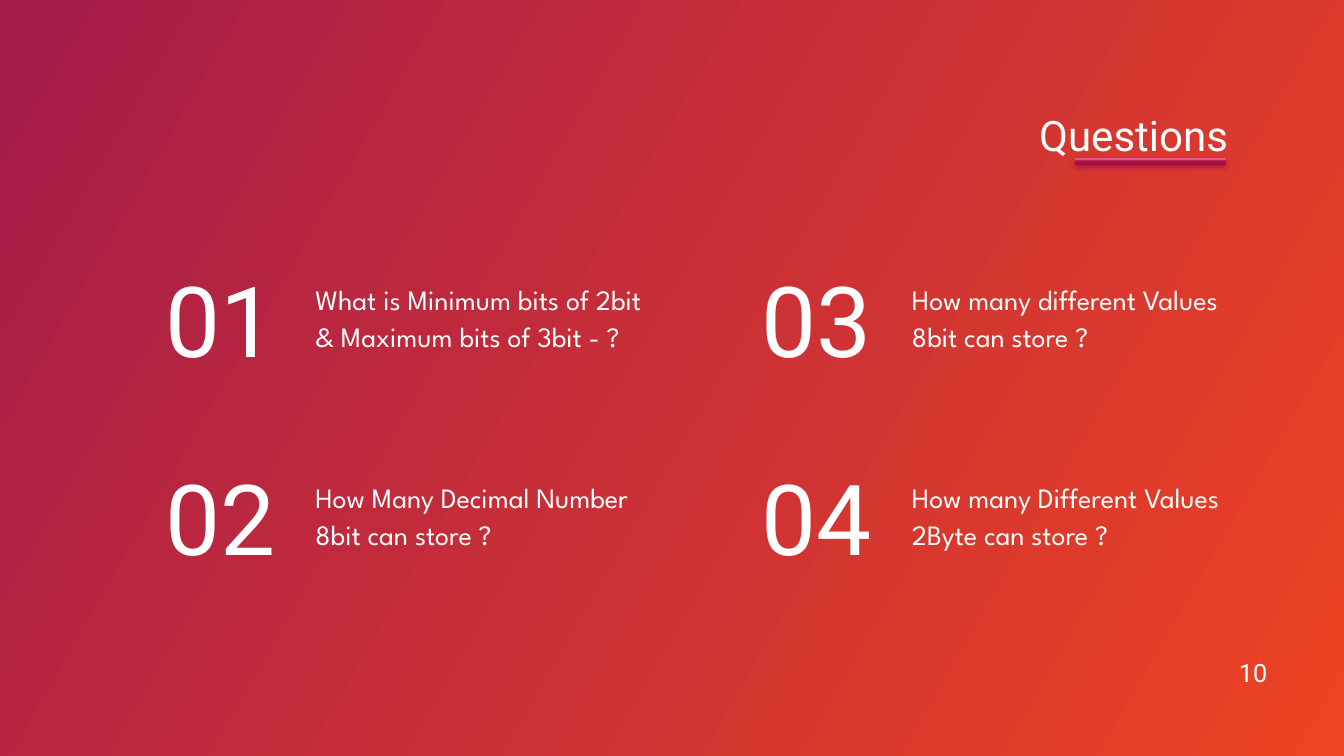
import pptx
import pptx.util
import pptx.dml.color
import pptx.enum.shapes
import pptx.enum.text
import pptx.oxml.ns
from lxml import etree

Pt = pptx.util.Pt
qn = pptx.oxml.ns.qn
ALIGN = pptx.enum.text.PP_ALIGN
ANCHOR = pptx.enum.text.MSO_ANCHOR

WIDTH, HEIGHT = 1919.52, 1080
COLORS = {
    "text": "FFFFFF",
    "orange": "ED4323",
    "crimson": "A51C4A",
    "pink": "E35C8A",
    "magenta": "AC1548",
    "wine": "9F0D3E",
    "shadow": "A91345",
}
QUESTIONS = [
    "What is Minimum bits of 2bit & Maximum bits of 3bit - ?",
    "How Many Decimal Number 8bit can store ?",
    "How many different Values 8bit can store ?",
    "How many Different Values 2Byte can store ?",
]


def add_color(parent, name):
    return etree.SubElement(parent, qn("a:srgbClr"), val=COLORS[name])


def add_gradient_bar(slide, box, stops, angle):
    """Add a rectangle with a linear gradient; stops are (percent, color name)."""
    shape = slide.shapes.add_shape(
        pptx.enum.shapes.MSO_SHAPE.RECTANGLE, *[Pt(value) for value in box])
    shape.shadow.inherit = False
    shape.line.fill.background()
    shape.fill.gradient()
    shape.fill.gradient_angle = angle
    stop_list = next(shape.element.iter(qn("a:gsLst")))
    for old_stop in list(stop_list):
        stop_list.remove(old_stop)
    for percent, name in stops:
        stop = etree.SubElement(stop_list, qn("a:gs"), pos=str(percent * 1000))
        add_color(stop, name)
    return shape


def format_text(shape, text, font, size, align, anchor, spacing=None):
    frame = shape.text_frame
    frame.word_wrap = True
    frame.vertical_anchor = anchor
    frame.margin_left = frame.margin_right = 0
    frame.margin_top = frame.margin_bottom = 0
    frame.text = text
    paragraph = frame.paragraphs[0]
    paragraph.alignment = align
    if spacing:
        paragraph.line_spacing = Pt(spacing)
    run_font = paragraph.runs[0].font
    run_font.name = font
    run_font.size = Pt(size)
    run_font.color.rgb = pptx.dml.color.RGBColor.from_string(COLORS["text"])


def add_text(slide, box, *style):
    shape = slide.shapes.add_textbox(*[Pt(value) for value in box])
    format_text(shape, *style)


def add_background(slide):
    shape = add_gradient_bar(slide, (0, 0, WIDTH, HEIGHT),
                             [(0, "orange"), (100, "crimson")], 150)
    # Send it behind the title
    slide.shapes.element.insert(2, shape.element)


def add_title(slide, left, top, width, height):
    title = slide.shapes.title
    title.left, title.top = Pt(left), Pt(top)
    title.width, title.height = Pt(width), Pt(height)
    format_text(title, "Questions", "Roboto", 60, ALIGN.RIGHT, ANCHOR.TOP, 83)

    # Underline with a soft shadow below it
    line_width = 214.5
    underline = add_gradient_bar(
        slide, (left + width - line_width - 3.5, top + 81.4, line_width, 8.6),
        [(17, "pink"), (44, "magenta"), (100, "wine")], 270)
    effects = next(underline.element.iter(qn("a:effectLst")))
    shadow = etree.SubElement(
        effects, qn("a:outerShdw"), blurRad=str(Pt(8)), dist=str(Pt(4)),
        dir="5400000", algn="t", rotWithShape="0")
    add_color(shadow, "shadow")


def add_question(slide, left, top, number, question):
    add_text(slide, (left, top, 226.8, 170),
             f"{number:02d}", "Roboto", 140, ALIGN.RIGHT, ANCHOR.TOP)
    add_text(slide, (left + 284, top + 1.5, 480, 159),
             question, "League Spartan", 40, ALIGN.LEFT, ANCHOR.MIDDLE, 53)


def add_questions(slide, left, top, column_pitch, row_pitch):
    for index, question in enumerate(QUESTIONS):
        column, row = divmod(index, 2)
        add_question(slide, left + column * column_pitch,
                     top + row * row_pitch, index + 1, question)


def main():
    presentation = pptx.Presentation()
    presentation.slide_width = Pt(WIDTH)
    presentation.slide_height = Pt(HEIGHT)
    slide = presentation.slides.add_slide(presentation.slide_layouts[5])

    add_background(slide)
    add_title(slide, 1469.5, 144.7, 284.4, 80.6)
    add_questions(slide, 166.5, 370, 852, 283.5)
    # Page number
    add_text(slide, (1697, 939, 113, 44),
             "10", "Roboto", 36, ALIGN.RIGHT, ANCHOR.MIDDLE)

    presentation.save("out.pptx")


if __name__ == "__main__":
    main()
